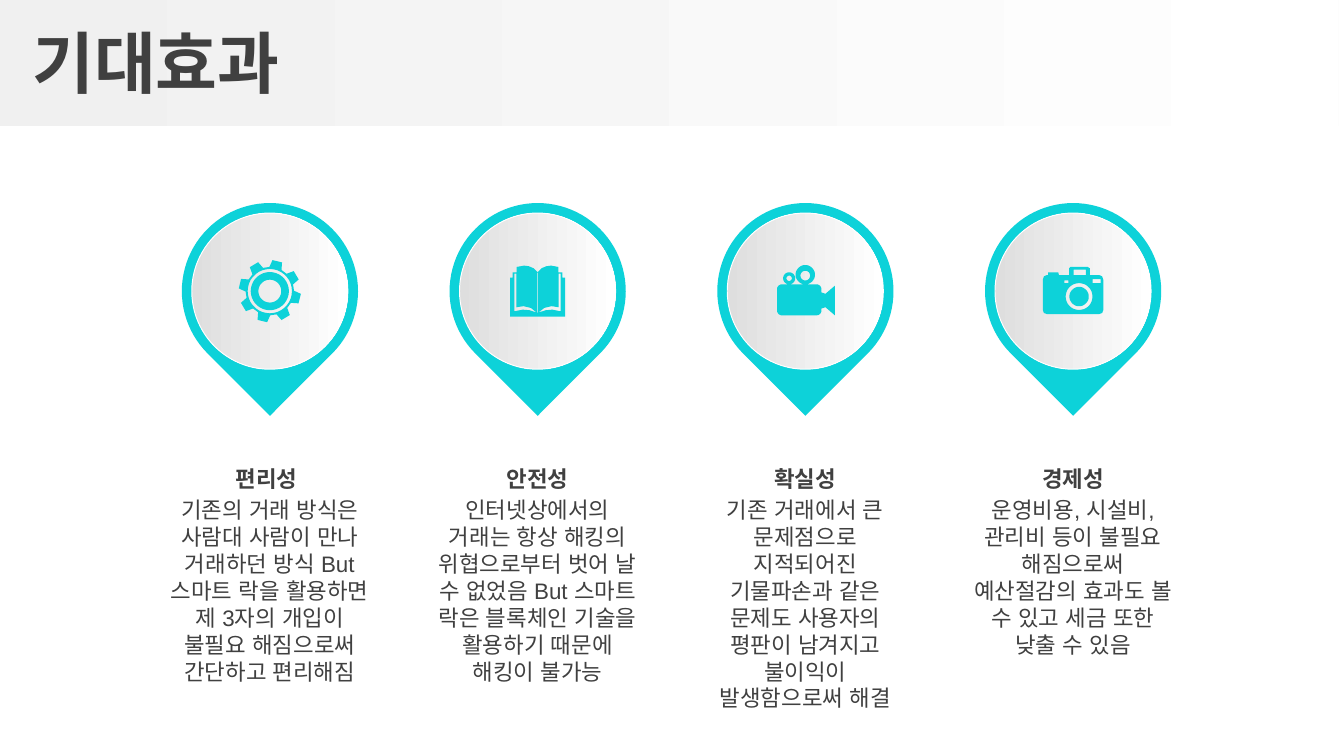
import math

import pptx
import pptx.dml.color
import pptx.enum.shapes
import pptx.enum.text
import pptx.oxml.ns
import pptx.util
from pptx.util import Cm

RGBColor = pptx.dml.color.RGBColor
CYAN = RGBColor(0x0D, 0xD2, 0xD9)
DARK = RGBColor(0x40, 0x40, 0x40)
LIGHT = RGBColor(0xF0, 0xF0, 0xF0)
SILVER = RGBColor(0xDE, 0xDE, 0xDE)
WHITE = RGBColor(0xFF, 0xFF, 0xFF)

SHAPES = pptx.enum.shapes.MSO_SHAPE
ALIGN = pptx.enum.text.PP_ALIGN
ANCHOR = pptx.enum.text.MSO_ANCHOR
FONT = "Arial"

FIRST_CENTER = Cm(5.1)
COLUMN_STEP = Cm(5.06)
PIN_MIDDLE = Cm(5.5)
PIN_SIZE = Cm(3.33)
DISC_SIZE = Cm(2.95)
TEXT_WIDTH = Cm(4.32)
ICON_UNIT = Cm(2.54) / 1000


def polar(radius, degrees, x=0, y=0):
    angle = math.radians(degrees)
    return x + radius * math.sin(angle), y - radius * math.cos(angle)


def circle(radius, x=0, y=0):
    return [polar(radius, degrees, x, y) for degrees in range(0, 360, 10)]


def box(left, top, right, bottom, radius=0):
    if not radius:
        return [(left, top), (right, top), (right, bottom), (left, bottom)]
    corners = box(left + radius, top + radius, right - radius, bottom - radius)
    return [
        polar(radius, start + turn, x, y)
        for start, (x, y) in zip((270, 0, 90, 180), corners)
        for turn in range(0, 91, 15)
    ]


def mirror(points):
    return [(-x, y) for x, y in reversed(points)]


def gear_icon():
    teeth = [
        polar(radius, 14 + tooth * 45 + turn)
        for tooth in range(8)
        for radius, turn in ((180, -15), (232, -9), (232, 9), (180, 15))
    ]
    return [teeth, circle(165), circle(142), circle(85)]


def book_icon():
    half = [(0, -140), (-30, -170), (-65, -185), (-100, -190), (-155, -180),
            (-155, -140), (-185, -140), (-185, -100), (-205, -100), (-205, 190)]
    margin = [(-172, -130), (-157, -130), (-157, 120), (-105, 112), (-50, 125),
              (-6, 160), (-60, 142), (-110, 138), (-172, 150)]
    return [half + mirror(half), margin, mirror(margin), box(-3, -138, 3, 160)]


def film_icon():
    lens = [(120, 10), (150, 20), (220, -40), (220, 180), (150, 120), (120, 130)]
    return [box(-210, -50, 120, 180, 35), lens,
            circle(72, 0, -122), circle(36, 0, -115),
            circle(45, -120, -95), circle(20, -120, -95)]


def camera_icon():
    body = [(-30, -120), (-30, -170), (-20, -180), (110, -180), (125, -170),
            (125, -120), (195, -120), (217, -110), (225, -85), (225, 140),
            (217, 162), (195, 170), (-195, 170), (-217, 162), (-225, 140),
            (-225, -85), (-217, -110), (-195, -120), (-185, -120),
            (-185, -140), (-110, -140), (-105, -120)]
    return [body, circle(100, 45, 40), circle(72, 45, 40),
            box(5, -160, 95, -120), box(145, -90, 205, -60),
            box(-65, -80, -35, -60)]


COLUMNS = [
    (gear_icon, "편리성 ",
     "기존의 거래 방식은 사람대 사람이 만나 거래하던 방식 But 스마트 락을 "
     "활용하면 제 3자의 개입이 불필요 해짐으로써 간단하고 편리해짐"),
    (book_icon, "안전성",
     "인터넷상에서의 거래는 항상 해킹의 위협으로부터 벗어 날 수 없었음 But "
     "스마트 락은 블록체인 기술을 활용하기 때문에 해킹이 불가능"),
    (film_icon, "확실성",
     "기존 거래에서 큰 문제점으로 지적되어진 기물파손과 같은 문제도 사용자의 "
     "평판이 남겨지고 불이익이 발생함으로써 해결"),
    (camera_icon, "경제성",
     "운영비용, 시설비, 관리비 등이 불필요 해짐으로써 예산절감의 효과도 볼 "
     "수 있고 세금 또한 낮출 수 있음"),
]


def fill_gradient(shape, start, end):
    shape.fill.gradient()
    shape.fill.gradient_angle = 0
    for stop, color, position in zip(shape.fill.gradient_stops, (start, end), (0, 1)):
        stop.color.rgb = color
        stop.position = position


def fill_solid(shape, color):
    shape.fill.solid()
    shape.fill.fore_color.rgb = color


def add_plain_shape(slide, kind, left, top, width, height):
    shape = slide.shapes.add_shape(kind, left, top, width, height)
    shape.shadow.inherit = False
    shape.line.fill.background()
    return shape


def add_text(slide, text, left, top, width, height, size=12, bold=False,
             align=ALIGN.CENTER, anchor=ANCHOR.TOP, indent=Cm(0.25)):
    frame = slide.shapes.add_textbox(left, top, width, height).text_frame
    frame.word_wrap = True
    frame.vertical_anchor = anchor
    frame.margin_left = indent
    paragraph = frame.paragraphs[0]
    paragraph.alignment = align
    run = paragraph.add_run()
    run.text = text
    run.font.name = FONT
    run.font.size = pptx.util.Pt(size)
    run.font.bold = bold
    run.font.color.rgb = DARK
    east_asian = run.font._element.makeelement(
        pptx.oxml.ns.qn("a:ea"), {"typeface": FONT})
    run.font._element.append(east_asian)


def add_pin(slide, center):
    pin = add_plain_shape(slide, SHAPES.TEAR, center - PIN_SIZE // 2,
                          PIN_MIDDLE - PIN_SIZE // 2, PIN_SIZE, PIN_SIZE)
    pin.rotation = 135
    fill_solid(pin, CYAN)
    disc = add_plain_shape(slide, SHAPES.OVAL, center - DISC_SIZE // 2,
                           PIN_MIDDLE - DISC_SIZE // 2, DISC_SIZE, DISC_SIZE)
    fill_gradient(disc, SILVER, WHITE)
    disc.line.color.rgb = WHITE
    disc.line.width = pptx.util.Pt(0.5)


def add_icon(slide, contours, center):
    first, *others = contours
    builder = slide.shapes.build_freeform(*first[0], scale=ICON_UNIT)
    builder.add_line_segments(first[1:], close=True)
    for contour in others:
        builder.move_to(*contour[0])
        builder.add_line_segments(contour[1:], close=True)
    icon = builder.convert_to_shape(center, PIN_MIDDLE)
    icon.shadow.inherit = False
    icon.line.fill.background()
    fill_solid(icon, CYAN)


def main():
    presentation = pptx.Presentation()
    presentation.slide_width = Cm(25.4)
    presentation.slide_height = Cm(14.28)
    slide = presentation.slides.add_slide(presentation.slide_layouts[6])

    band = add_plain_shape(slide, SHAPES.RECTANGLE, 0, 0, Cm(25.3), Cm(2.39))
    fill_gradient(band, LIGHT, WHITE)
    add_text(slide, "기대효과", 0, Cm(0.08), Cm(25.4), Cm(2.16), size=36, bold=True,
             align=ALIGN.LEFT, anchor=ANCHOR.MIDDLE, indent=Cm(0.61))

    for index, (icon, heading, body) in enumerate(COLUMNS):
        center = FIRST_CENTER + index * COLUMN_STEP
        left = center - TEXT_WIDTH // 2
        add_pin(slide, center)
        add_icon(slide, icon(), center)
        add_text(slide, body, left, Cm(9.25), TEXT_WIDTH, Cm(3.81))
        add_text(slide, heading, left, Cm(8.66), TEXT_WIDTH, Cm(0.74), bold=True)

    presentation.save("out.pptx")


if __name__ == "__main__":
    main()
